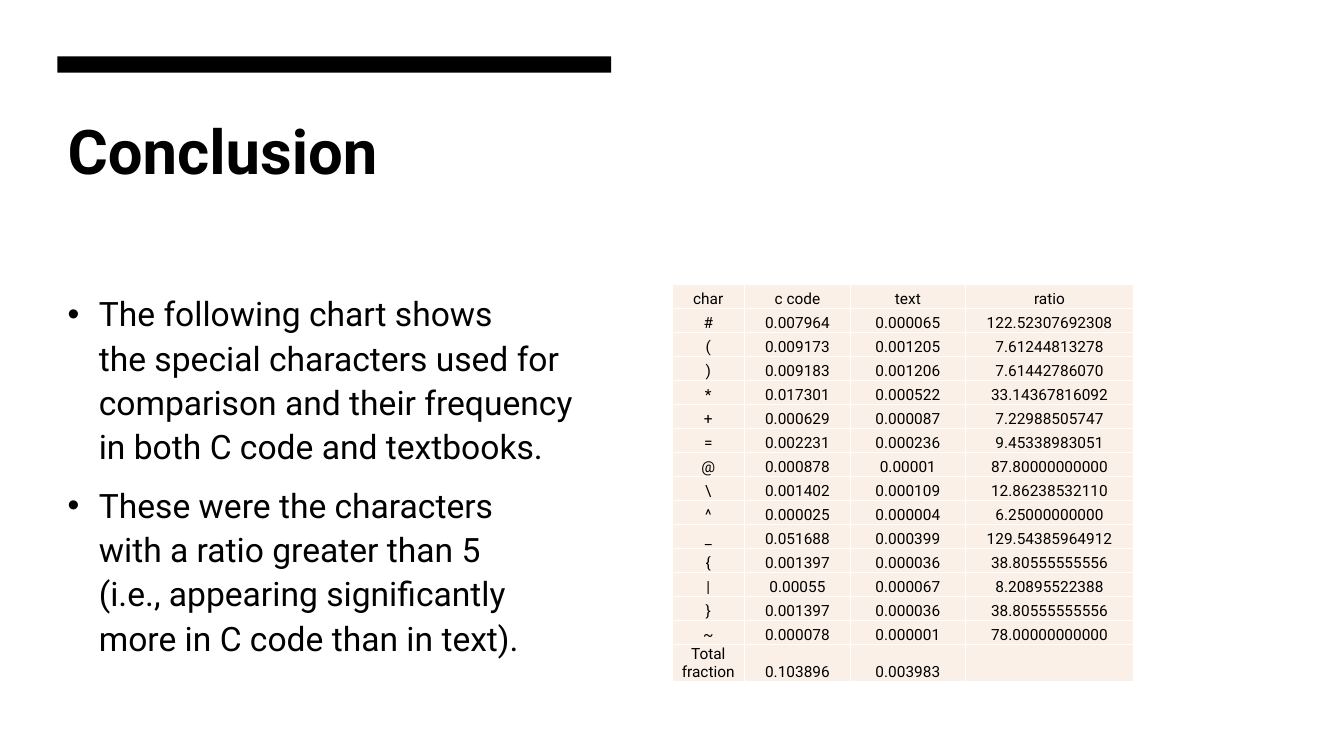
from typing import NamedTuple

from lxml.etree import SubElement
from pptx import Presentation
from pptx.dml.color import RGBColor
from pptx.enum.shapes import MSO_SHAPE as Shape
from pptx.enum.text import MSO_ANCHOR as Anchor, MSO_AUTO_SIZE as AutoSize, PP_ALIGN as Align
from pptx.oxml.ns import qn
from pptx.util import Inches, Pt

COLORS = {"ink": "000000", "paper": "FFFFFF", "cell": "FBF0E7"}
FONT = "Roboto"
SLIDE_WIDTH, SLIDE_HEIGHT = Inches(13.33), Inches(7.5)


class Area(NamedTuple):
    """Position and size in percent of the slide."""
    left: float
    top: float
    width: float
    height: float


class CharRow(NamedTuple):
    char: str
    code: str
    text: str
    ratio: str


BAR = Area(4.28, 7.47, 41.19, 2.13)
TITLE = Area(4.28, 14.27, 71.27, 21.33)
BODY = Area(4.28, 37.6, 71.27, 54.93)
COLUMN_SHARES = (5.4, 7.88, 8.55, 12.53)
ROW_SHARE = 3.18

POINTS = (
    "The following chart shows \nthe special characters used for \n"
    "comparison and their frequency \nin both C code and textbooks.",
    "These were the characters\nwith a ratio greater than 5\n"
    "(i.e., appearing significantly \nmore in C code than in text).",
)
ROWS = (
    CharRow("char", "c code", "text", "ratio"),
    CharRow("#", "0.007964", "0.000065", "122.52307692308"),
    CharRow("(", "0.009173", "0.001205", "7.61244813278"),
    CharRow(")", "0.009183", "0.001206", "7.61442786070"),
    CharRow("*", "0.017301", "0.000522", "33.14367816092"),
    CharRow("+", "0.000629", "0.000087", "7.22988505747"),
    CharRow("=", "0.002231", "0.000236", "9.45338983051"),
    CharRow("@", "0.000878", "0.00001", "87.80000000000"),
    CharRow("\\", "0.001402", "0.000109", "12.86238532110"),
    CharRow("^", "0.000025", "0.000004", "6.25000000000"),
    CharRow("_", "0.051688", "0.000399", "129.54385964912"),
    CharRow("{", "0.001397", "0.000036", "38.80555555556"),
    CharRow("|", "0.00055", "0.000067", "8.20895522388"),
    CharRow("}", "0.001397", "0.000036", "38.80555555556"),
    CharRow("~", "0.000078", "0.000001", "78.00000000000"),
    CharRow("Total fraction", "0.103896", "0.003983", ""),
)


def across(share: float) -> int:
    return round(SLIDE_WIDTH * share / 100)


def down(share: float) -> int:
    return round(SLIDE_HEIGHT * share / 100)


def place(box, area: Area) -> None:
    box.left, box.top = across(area.left), down(area.top)
    box.width, box.height = across(area.width), down(area.height)


def color(name: str) -> RGBColor:
    return RGBColor.from_string(COLORS[name])


def write(para, text: str, *, size: float, bold: bool = False, align=Align.LEFT) -> None:
    """Fill a paragraph, turning each newline into a line break."""
    para.alignment = align
    for index, line in enumerate(text.split("\n")):
        if index:
            para.add_line_break()
        span = para.add_run()
        span.text = line
        span.font.name, span.font.size, span.font.bold = FONT, Pt(size), bold
        span.font.color.rgb = color("ink")


def prepare_placeholder(box, area: Area) -> None:
    place(box, area)
    frame = box.text_frame
    frame.word_wrap = True
    frame.auto_size = AutoSize.NONE
    frame.vertical_anchor = Anchor.TOP


def add_bar(page) -> None:
    bar = page.shapes.add_shape(Shape.RECTANGLE, 0, 0, 0, 0)
    place(bar, BAR)
    bar.shadow.inherit = False
    bar.fill.solid()
    bar.fill.fore_color.rgb = color("ink")
    bar.line.fill.background()


def add_points(body) -> None:
    prepare_placeholder(body, BODY)
    frame = body.text_frame
    for index, point in enumerate(POINTS):
        para = frame.add_paragraph() if index else frame.paragraphs[0]
        para.line_spacing = 1.1
        para.space_before = Pt(10)
        write(para, point, size=24)
        properties = para._p.get_or_add_pPr()
        properties.set("marL", str(Inches(0.31)))
        properties.set("indent", str(-Inches(0.31)))
        SubElement(properties, qn("a:buFont"), typeface="Arial")
        SubElement(properties, qn("a:buChar"), char="•")


def format_cell(cell, text: str) -> None:
    cell.margin_left = cell.margin_right = cell.margin_top = Inches(0.01)
    cell.margin_bottom = 0
    cell.vertical_anchor = Anchor.BOTTOM
    # Borders come before the fill in the cell properties
    for side in ("lnL", "lnR", "lnT", "lnB"):
        border = SubElement(cell._tc.get_or_add_tcPr(), qn(f"a:{side}"), w=str(Pt(1)))
        SubElement(SubElement(border, qn("a:solidFill")), qn("a:srgbClr"), val=COLORS["paper"])
    cell.fill.solid()
    cell.fill.fore_color.rgb = color("cell")
    write(cell.text_frame.paragraphs[0], text, size=11, align=Align.CENTER)


def add_char_table(page) -> None:
    table = page.shapes.add_table(
        len(ROWS), len(COLUMN_SHARES), across(50), down(BODY.top),
        across(sum(COLUMN_SHARES)), down(ROW_SHARE * len(ROWS))).table
    table.first_row = table.horz_banding = False
    for column, share in zip(table.columns, COLUMN_SHARES):
        column.width = across(share)
    for row, values in zip(table.rows, ROWS):
        row.height = down(ROW_SHARE)
        for cell, value in zip(row.cells, values):
            format_cell(cell, value)


def main() -> None:
    deck = Presentation()
    deck.slide_width, deck.slide_height = SLIDE_WIDTH, SLIDE_HEIGHT
    page = deck.slides.add_slide(deck.slide_layouts[1])

    # Title under its bar
    add_bar(page)
    title, body = page.placeholders
    prepare_placeholder(title, TITLE)
    write(title.text_frame.paragraphs[0], "Conclusion", size=44, bold=True)

    # Findings and character frequencies
    add_points(body)
    add_char_table(page)
    deck.save("out.pptx")


if __name__ == "__main__":
    main()
